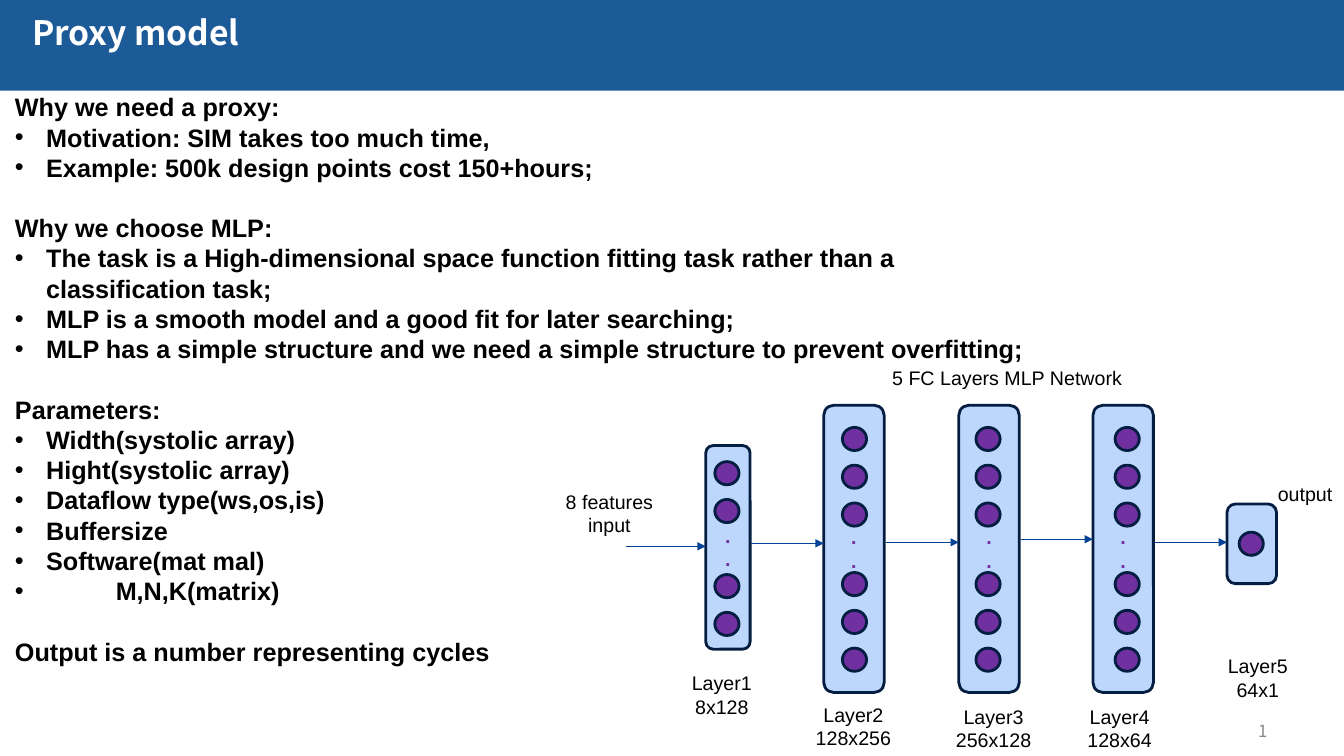
from dataclasses import dataclass

from lxml.etree import SubElement
from pptx import Presentation
from pptx.dml.color import RGBColor
from pptx.enum.shapes import MSO_CONNECTOR as Connector, MSO_SHAPE as Preset
from pptx.enum.text import MSO_ANCHOR as Anchor, MSO_AUTO_SIZE as AutoSize, PP_ALIGN as Align
from pptx.oxml.ns import qn
from pptx.slide import Slide
from pptx.util import Inches, Pt

COLORS = {
    "banner": "1D5A98", "white": "FFFFFF", "black": "000000", "grey": "888888",
    "layer": "BCD7FB", "outline": "041E42", "neuron": "7030A0", "arrow": "044396",
}
COLUMNS, ROWS = 133.3, 75
CELL = Inches(0.1)
NEURON_WIDTH, NEURON_HEIGHT, NEURON_PITCH = 2.4, 2.3, 3.75
SECTION_GAP = 21.6

SECTIONS = [
    ("Why we need a proxy:", [
        "Motivation: SIM takes too much time,",
        "Example: 500k design points cost 150+hours;",
    ]),
    ("Why we choose MLP:", [
        "The task is a High-dimensional space function fitting task rather than a classification task;",
        "MLP is a smooth model and a good fit for later searching;",
        "MLP has a simple structure and we need a simple structure to prevent overfitting;",
    ]),
    ("Parameters:", [
        "Width(systolic array)",
        "Hight(systolic array)",
        "Dataflow type(ws,os,is)",
        "Buffersize",
        "Software(mat mal)",
        "M,N,K(matrix)",
    ]),
    ("Output is a number representing cycles", []),
]
DEEP_ITEM = "M,N,K(matrix)"

LAYERS = [
    ((70, 44.2, 4.4, 20.2), ".\n.", 70.9, [(45.8, 2), (57, 2)]),
    ((81.7, 40.2, 6, 28.5), ".\n.", 83.55, [(42.4, 3), (56.8, 3)]),
    ((95.1, 40.2, 6, 28.5), ".\n.", 96.8, [(42.4, 3), (56.8, 3)]),
    ((108.4, 40.2, 6, 28.5), ".\n.", 110.6, [(42.4, 3), (56.8, 3)]),
    ((121.7, 50, 4.9, 7.9), "", 122.9, [(52.8, 1)]),
]
ARROWS = [
    (62.1, 70, 54.2), (74.5, 81.7, 53.9), (87.9, 95.1, 53.8),
    (101.3, 108.4, 53.5), (114.5, 121.7, 53.8),
]
CAPTIONS = [
    ("8 features input", (53.8, 48.1, 13.3, 5.7)),
    ("Layer1\n8x128", (67.1, 66.1, 9, 5.7)),
    ("Layer2\n128x256", (79.5, 69.2, 10.3, 5.7)),
    ("Layer3\n256x128", (93.4, 69.4, 10.3, 5.7)),
    ("Layer4\n128x64", (106.3, 69.4, 9.5, 5.7)),
    ("Layer5\n64x1", (120, 64.4, 9.5, 5.7)),
    ("output", (122.8, 47.3, 13.3, 3.4)),
    ("5 FC Layers MLP Network", (85.3, 35.8, 29.2, 3.4)),
]


def cells(*counts):
    return [round(count * CELL) for count in counts]


def color(name):
    return RGBColor.from_string(COLORS[name])


@dataclass
class SlideStyle:
    slide: Slide
    body_font: str = "Arial"
    title_font: str = "Noto Sans CJK SC"

    def format(self, frame, size, tint, bold=False, align=Align.LEFT, font=None):
        for paragraph in frame.paragraphs:
            paragraph.alignment = align
            for run in paragraph.runs:
                run.font.name = font or self.body_font
                run.font.size = Pt(size)
                run.font.bold = bold
                run.font.color.rgb = color(tint)

    def text(self, words, area, size, tint, grow=True, **looks):
        frame = self.slide.shapes.add_textbox(*cells(*area)).text_frame
        frame.word_wrap = True
        frame.auto_size = AutoSize.SHAPE_TO_FIT_TEXT if grow else AutoSize.NONE
        frame.text = words
        self.format(frame, size, tint, **looks)
        return frame

    def shape(self, preset, area, fill, outline=None):
        shape = self.slide.shapes.add_shape(preset, *cells(*area))
        shape.shadow.inherit = False
        shape.fill.solid()
        shape.fill.fore_color.rgb = color(fill)
        if outline:
            shape.line.color.rgb = color(outline)
            shape.line.width = Pt(2)
        else:
            shape.line.fill.background()
        return shape

    def layer(self, area, dots):
        frame = self.shape(Preset.ROUNDED_RECTANGLE, area, "layer", "outline").text_frame
        if dots:
            frame.text = dots
            frame.vertical_anchor = Anchor.MIDDLE
            self.format(frame, 14, "neuron", bold=True, align=Align.CENTER)

    def neurons(self, left, top, count):
        for index in range(count):
            area = (left, top + index * NEURON_PITCH, NEURON_WIDTH, NEURON_HEIGHT)
            self.shape(Preset.FLOWCHART_CONNECTOR, area, "neuron", "outline")

    def arrow(self, start, end, row):
        arrow = self.slide.shapes.add_connector(Connector.STRAIGHT, *cells(start, row, end, row))
        arrow.line.color.rgb = color("arrow")
        arrow.line.width = Pt(0.75)
        SubElement(arrow.line._get_or_add_ln(), qn("a:tailEnd"), type="triangle")
        SubElement(arrow._element.spPr, qn("a:effectLst"))

    def bullet(self, paragraph, indent):
        properties = paragraph._p.get_or_add_pPr()
        offset = cells(indent)[0]
        properties.set("marL", str(offset))
        properties.set("indent", str(-offset))
        tint = SubElement(properties, qn("a:buClr"))
        SubElement(tint, qn("a:srgbClr"), val=COLORS["black"])
        SubElement(properties, qn("a:buFont"), typeface=self.body_font)
        SubElement(properties, qn("a:buChar"), char="•")

    def outline(self, sections, area):
        words = "\n".join(line for heading, items in sections for line in (heading, *items))
        frame = self.text(words, area, 18, "black", bold=True)
        headings = [heading for heading, _ in sections]
        for paragraph in frame.paragraphs:
            if paragraph.text not in headings:
                self.bullet(paragraph, 10 if paragraph.text == DEEP_ITEM else 3.1)
            elif paragraph.text != headings[0]:
                paragraph.space_before = Pt(SECTION_GAP)


def main():
    deck = Presentation()
    deck.slide_width, deck.slide_height = cells(COLUMNS, ROWS)
    page = SlideStyle(deck.slides.add_slide(deck.slide_layouts[6]))

    page.shape(Preset.RECTANGLE, (0, 0, COLUMNS, 9), "banner")
    title = page.text("Proxy model", (2.2, 1.1, 120.8, 5.6), 24, "white",
                      grow=False, bold=True, font=page.title_font)
    title.paragraphs[0].line_spacing = 0.9
    number = page.text("1", (96.7, 70.5, 30, 4), 12, "grey",
                       grow=False, align=Align.RIGHT, font=page.title_font)
    number.vertical_anchor = Anchor.MIDDLE
    page.outline(SECTIONS, (0.5, 8.6, 104.5, 61.6))

    for area, dots, _, _ in LAYERS:
        page.layer(area, dots)
    for start, end, row in ARROWS:
        page.arrow(start, end, row)
    for words, area in CAPTIONS:
        page.text(words, area, 14, "black", align=Align.CENTER)
    for _, _, left, groups in LAYERS:
        for top, count in groups:
            page.neurons(left, top, count)

    deck.save("out.pptx")


if __name__ == "__main__":
    main()
